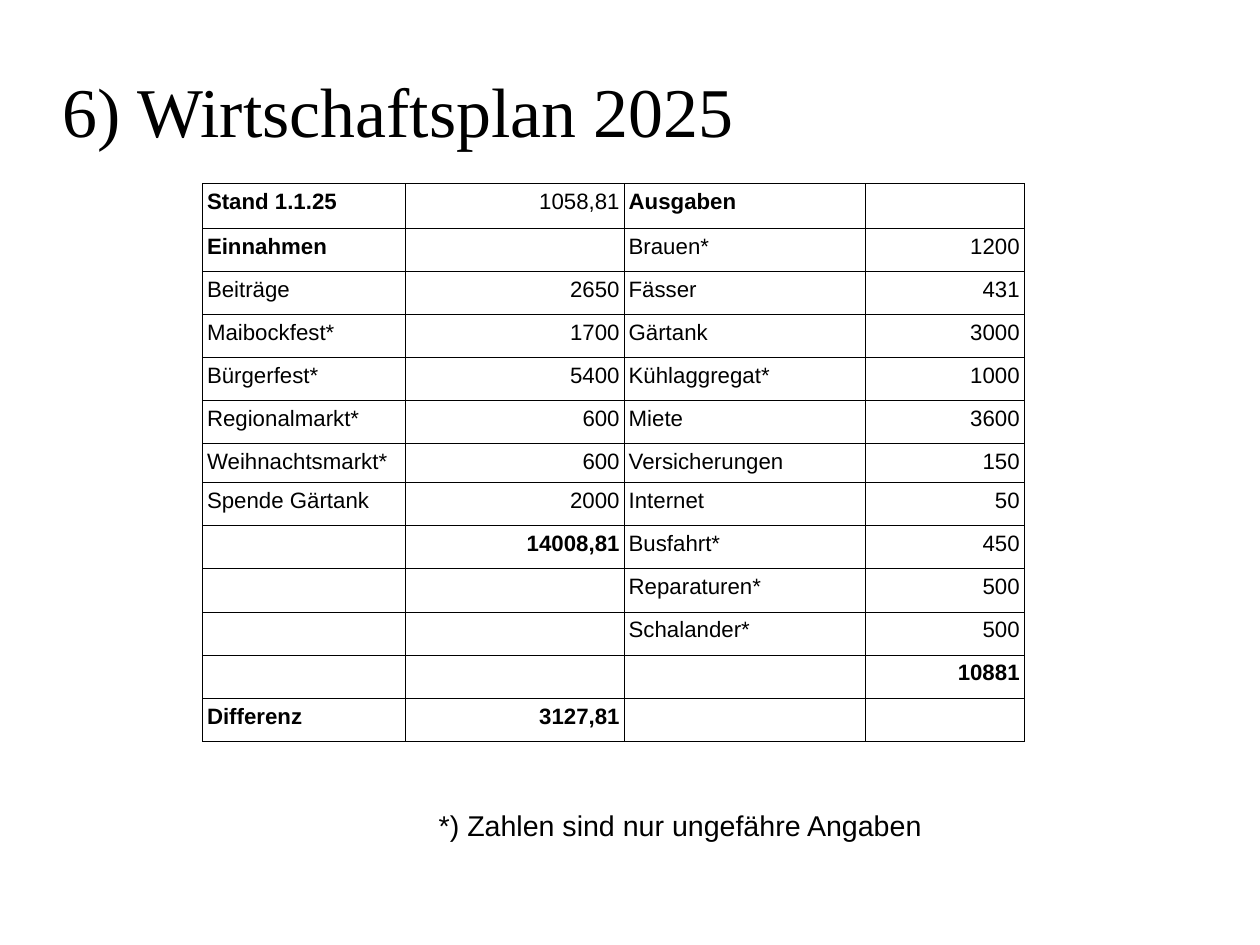
from dataclasses import dataclass

from lxml.etree import SubElement
from pptx import Presentation
from pptx.dml.color import RGBColor
from pptx.enum.text import MSO_ANCHOR, PP_ALIGN
from pptx.oxml.ns import qn
from pptx.util import Cm, Pt


@dataclass(frozen=True)
class Theme:
    """Colours, fonts and type sizes of the deck."""

    ink: str = "000000"
    heading_font: str = "Times New Roman"
    body_font: str = "Arial"
    title_size: float = 44
    note_size: float = 18
    table_size: float = 14
    border_width: float = 0.57


@dataclass(frozen=True)
class Box:
    """A region of the page."""

    left: int
    top: int
    width: int
    height: int


THEME = Theme()
COLUMN_WIDTHS = (4.5, 4.87, 5.36, 3.53)
ROW_HEIGHT = 0.956
SPECIAL_ROWS = {0: 1.0, 6: 0.87}
BOLD_ENTRIES = {"Stand 1.1.25", "Einnahmen", "Ausgaben", "Differenz",
                "14008,81", "10881", "3127,81"}
BUDGET = (
    ("Stand 1.1.25", "1058,81", "Ausgaben", ""),
    ("Einnahmen", "", "Brauen*", "1200"),
    ("Beiträge", "2650", "Fässer", "431"),
    ("Maibockfest*", "1700", "Gärtank", "3000"),
    ("Bürgerfest*", "5400", "Kühlaggregat*", "1000"),
    ("Regionalmarkt*", "600", "Miete", "3600"),
    ("Weihnachtsmarkt*", "600", "Versicherungen", "150"),
    ("Spende Gärtank", "2000", "Internet", "50"),
    ("", "14008,81", "Busfahrt*", "450"),
    ("", "", "Reparaturen*", "500"),
    ("", "", "Schalander*", "500"),
    ("", "", "", "10881"),
    ("Differenz", "3127,81", "", ""),
)


def add_span(para, text, font, size, bold=False):
    """Add one styled run to a paragraph."""
    span = para.add_run()
    span.text = text
    span.font.name = font
    span.font.size = Pt(size)
    span.font.bold = bold
    span.font.color.rgb = RGBColor.from_string(THEME.ink)


def add_text(page, box, text, font, size, anchor, insets):
    """Place a single line of text in a box with horizontal and vertical insets."""
    frame = page.shapes.add_textbox(box.left, box.top, box.width, box.height).text_frame
    frame.word_wrap = True
    frame.vertical_anchor = anchor
    frame.margin_left = frame.margin_right = insets[0]
    frame.margin_top = frame.margin_bottom = insets[1]
    add_span(frame.paragraphs[0], text, font, size)


def add_borders(cell):
    """Draw a thin line on all four sides of a cell."""
    properties = cell._tc.get_or_add_tcPr()
    for side in ("a:lnL", "a:lnR", "a:lnT", "a:lnB"):
        line = SubElement(properties, qn(side), w=str(Pt(THEME.border_width)))
        fill = SubElement(line, qn("a:solidFill"))
        SubElement(fill, qn("a:srgbClr"), val=THEME.ink)


def fill_cell(cell, text, align):
    """Style a cell and write its entry."""
    add_borders(cell)
    cell.fill.background()
    cell.margin_left = cell.margin_right = Cm(0.1)
    cell.margin_top = cell.margin_bottom = Cm(0.13)
    para = cell.text_frame.paragraphs[0]
    para.alignment = align
    if text:
        add_span(para, text, THEME.body_font, THEME.table_size, text in BOLD_ENTRIES)
    else:
        SubElement(para._p, qn("a:endParaRPr"), sz=str(int(THEME.table_size * 100)))


def add_budget(page, box):
    """Place the budget table with labels left and amounts right."""
    table = page.shapes.add_table(
        len(BUDGET), len(COLUMN_WIDTHS), box.left, box.top, box.width, box.height
    ).table
    table.first_row = table.horz_banding = False
    for column, width in zip(table.columns, COLUMN_WIDTHS):
        column.width = Cm(width)
    for row_index, entries in enumerate(BUDGET):
        table.rows[row_index].height = Cm(SPECIAL_ROWS.get(row_index, ROW_HEIGHT))
        for column_index, text in enumerate(entries):
            align = PP_ALIGN.RIGHT if column_index % 2 else PP_ALIGN.LEFT
            fill_cell(table.cell(row_index, column_index), text, align)


def add_budget_page(deck):
    """Build the page with title, budget table and footnote."""
    page = deck.slides.add_slide(deck.slide_layouts[6])
    add_text(page, Box(Cm(1.4), Cm(0.84), Cm(21.41), Cm(3.18)),
             "6) Wirtschaftsplan 2025", THEME.heading_font, THEME.title_size,
             MSO_ANCHOR.MIDDLE, (0, 0))
    add_budget(page, Box(Cm(4.5), Cm(4.08), Cm(sum(COLUMN_WIDTHS)), Cm(12.38)))
    add_text(page, Box(Cm(9.5), Cm(17.83), Cm(13), Cm(1.68)),
             "*) Zahlen sind nur ungefähre Angaben", THEME.body_font, THEME.note_size,
             MSO_ANCHOR.TOP, (Cm(0.25), Cm(0.13)))


def main():
    """Create the deck and save it."""
    deck = Presentation()
    deck.slide_width = Cm(28)
    deck.slide_height = Cm(21)
    add_budget_page(deck)
    deck.save("out.pptx")


if __name__ == "__main__":
    main()
